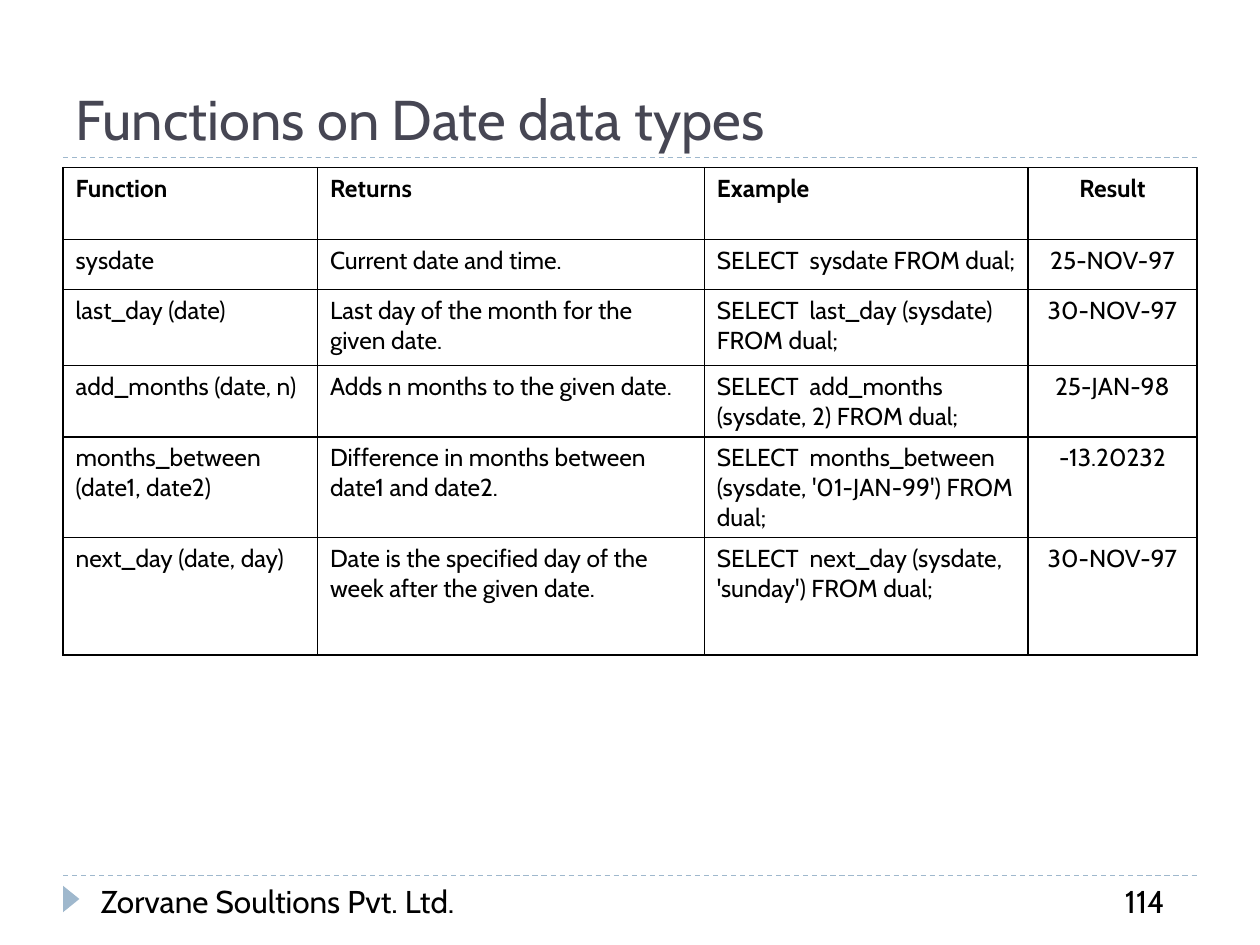
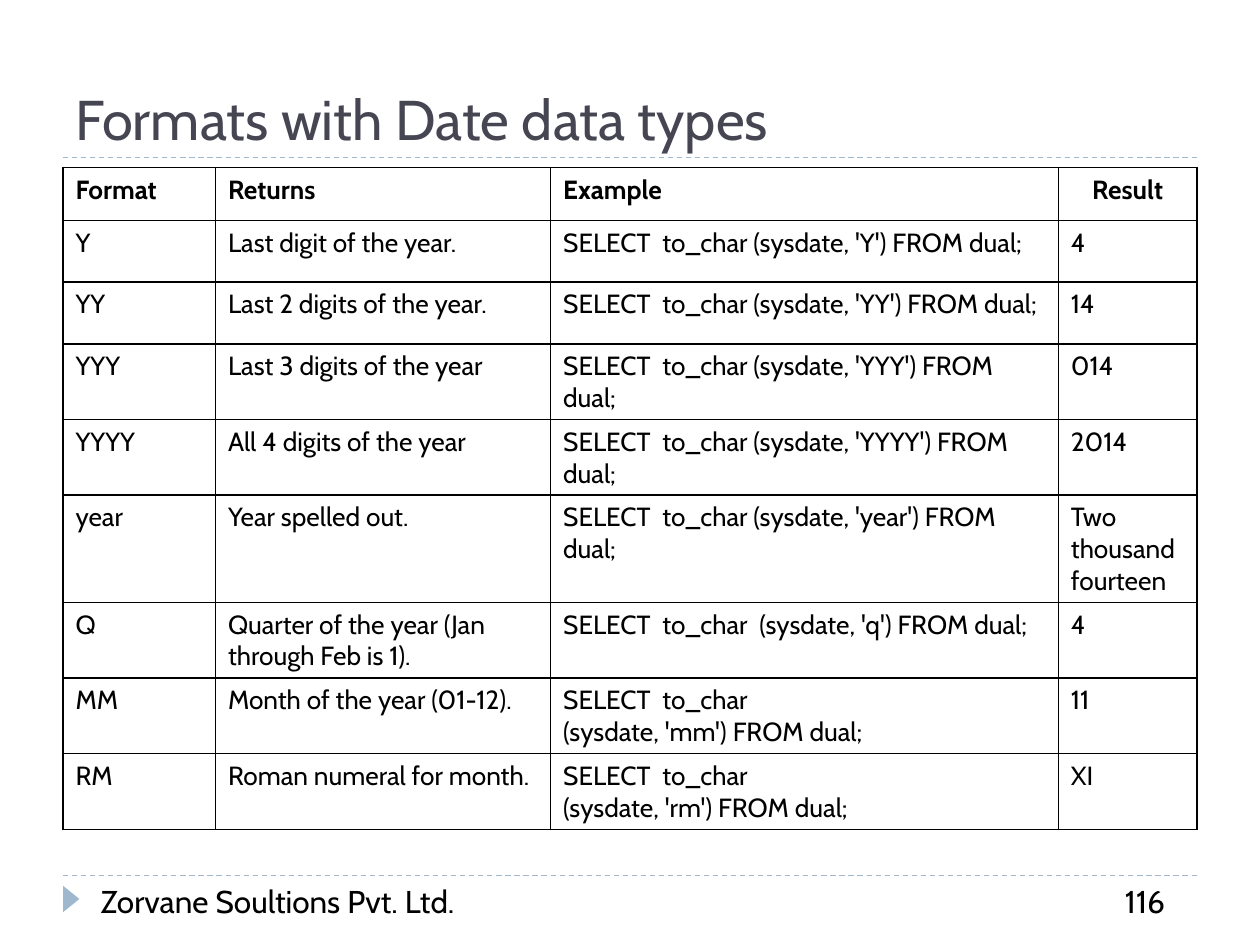
from dataclasses import dataclass

from lxml.etree import SubElement as SubEl
from pptx import Presentation
from pptx.dml.color import RGBColor
from pptx.enum.dml import MSO_LINE_DASH_STYLE as Dash
from pptx.enum.shapes import MSO_CONNECTOR as Conn, MSO_SHAPE as Shape
from pptx.enum.text import MSO_ANCHOR as Anchor, PP_ALIGN as Align
from pptx.oxml.ns import qn
from pptx.slide import Slide
from pptx.table import _Cell as Cell
from pptx.text.text import TextFrame
from pptx.util import Inches, Pt

# Shared look
FONT = "Cabin"
BLACK = RGBColor(0x00, 0x00, 0x00)
SLATE = RGBColor(0x46, 0x46, 0x53)
STEEL = RGBColor(0x9F, 0xB8, 0xCD)
FIRM = "Zorvane Soultions Pvt. Ltd."
LEFT, RIGHT = 0.5, 9.5
HEAD_Y, FOOT_Y, GRID_Y = 1.25, 6.95, 1.33


@dataclass(frozen=True)
class Style:
    size: int
    color: RGBColor = BLACK
    bold: bool = False
    align: Align = Align.LEFT


@dataclass(frozen=True)
class Box:
    left: float
    top: float
    width: float
    height: float
    anchor: Anchor = Anchor.TOP


@dataclass(frozen=True)
class Page:
    title: str
    number: str
    size: int
    cols: tuple[float, ...]
    heights: tuple[float, ...]
    rows: tuple[tuple[str, ...], ...]
    center: bool  # centre the values in the last column


TITLE_BOX = Box(LEFT, 0.17, 9, 1.08, Anchor.BOTTOM)
FIRM_BOX = Box(0.7, FOOT_Y, 3.8, 0.4)
NUM_BOX = Box(8.83, FOOT_Y, 0.67, 0.4)
TITLE = Style(32, SLATE)
FOOT = Style(18)

PAGES = (
    Page(
        "Functions on Date data types", "114", 14,
        (2.02, 3.07, 2.57, 1.34),
        (0.57, 0.4, 0.6, 0.52, 0.72, 0.93),
        (
            ("Function", "Returns", "Example", "Result"),
            ("sysdate", "Current date and time.",
             "SELECT  sysdate FROM dual;", "25-NOV-97"),
            ("last_day (date)", "Last day of the month for the given date.",
             "SELECT  last_day (sysdate) FROM dual;", "30-NOV-97"),
            ("add_months (date, n)", "Adds n months to the given date.",
             "SELECT  add_months (sysdate, 2) FROM dual;", "25-JAN-98"),
            ("months_between (date1, date2)",
             "Difference in months between date1 and date2.",
             "SELECT  months_between (sysdate, '01-JAN-99') FROM dual;",
             "-13.20232"),
            ("next_day (date, day)",
             "Date is the specified day of the week after the given date.",
             "SELECT  next_day (sysdate, 'sunday') FROM dual;", "30-NOV-97"),
        ),
        True,
    ),
    Page(
        "Formats with Date data types", "116", 15,
        (1.21, 2.66, 4.03, 1.1),
        (0.42, 0.49, 0.49, 0.49, 0.38, 0.58, 0.49, 0.49, 0.49),
        (
            ("Format", "Returns", "Example", "Result"),
            ("Y", "Last digit of the year.",
             "SELECT  to_char (sysdate, 'Y') FROM dual;", "4"),
            ("YY", "Last 2 digits of the year.",
             "SELECT  to_char (sysdate, 'YY') FROM dual;", "14"),
            ("YYY", "Last 3 digits of the year",
             "SELECT  to_char (sysdate, 'YYY') FROM dual;", "014"),
            ("YYYY", "All 4 digits of the year",
             "SELECT  to_char (sysdate, 'YYYY') FROM dual;", "2014"),
            ("year", "Year spelled out.",
             "SELECT  to_char (sysdate, 'year') FROM dual;",
             "Two thousand fourteen"),
            ("Q", "Quarter of the year (Jan through Feb is 1).",
             "SELECT  to_char  (sysdate, 'q') FROM dual;", "4"),
            ("MM", "Month of the year (01-12).",
             "SELECT  to_char\n(sysdate, 'mm') FROM dual;", "11"),
            ("RM", "Roman numeral for month.",
             "SELECT  to_char\n(sysdate, 'rm') FROM dual;", "XI"),
        ),
        False,
    ),
)


def write(frame: TextFrame, text: str, style: Style) -> None:
    """Write one paragraph per line of text."""
    for i, line in enumerate(text.split("\n")):
        para = frame.add_paragraph() if i else frame.paragraphs[0]
        para.alignment = style.align
        run = para.add_run()
        run.text = line
        font = run.font
        font.name, font.size, font.bold = FONT, Pt(style.size), style.bold
        font.color.rgb = style.color


def label(slide: Slide, box: Box, text: str, style: Style) -> None:
    shape = slide.shapes.add_textbox(
        Inches(box.left), Inches(box.top), Inches(box.width), Inches(box.height))
    frame = shape.text_frame
    frame.word_wrap = True
    frame.vertical_anchor = box.anchor
    write(frame, text, style)


def rule(slide: Slide, y: float) -> None:
    line = slide.shapes.add_connector(
        Conn.STRAIGHT, Inches(LEFT), Inches(y), Inches(RIGHT), Inches(y))
    line.line.color.rgb = STEEL
    line.line.width = Pt(0.75)
    line.line.dash_style = Dash.DASH
    SubEl(line._element.spPr, qn("a:effectLst"))


def marker(slide: Slide) -> None:
    mark = slide.shapes.add_shape(
        Shape.ISOSCELES_TRIANGLE, Inches(0.46), Inches(7.07), Inches(0.21), Inches(0.13))
    mark.rotation = 90
    mark.shadow.inherit = False
    mark.fill.solid()
    mark.fill.fore_color.rgb = STEEL
    mark.line.fill.background()


def border(cell: Cell) -> None:
    props = cell._tc.get_or_add_tcPr()
    for side in ("lnL", "lnR", "lnT", "lnB"):
        edge = SubEl(props, qn(f"a:{side}"), w=str(Pt(1)))
        fill = SubEl(edge, qn("a:solidFill"))
        SubEl(fill, qn("a:srgbClr"), val=str(BLACK))


def grid(slide: Slide, page: Page) -> None:
    table = slide.shapes.add_table(
        len(page.rows), len(page.cols), Inches(LEFT), Inches(GRID_Y),
        Inches(sum(page.cols)), Inches(sum(page.heights))).table
    table.first_row = table.horz_banding = False
    for col, width in zip(table.columns, page.cols):
        col.width = Inches(width)
    for row, height in zip(table.rows, page.heights):
        row.height = Inches(height)
    last = len(page.cols) - 1
    for r, row in enumerate(page.rows):
        head = r == 0
        for c, text in enumerate(row):
            align = Align.JUSTIFY if head else Align.LEFT
            if c == last and (head or page.center):
                align = Align.CENTER
            cell = table.cell(r, c)
            border(cell)
            cell.fill.background()
            write(cell.text_frame, text, Style(page.size, bold=head, align=align))


def build(slide: Slide, page: Page) -> None:
    # Rules and marker
    for y in (FOOT_Y, HEAD_Y):
        rule(slide, y)
    marker(slide)
    # Title and table
    label(slide, TITLE_BOX, page.title, TITLE)
    grid(slide, page)
    # Footer
    label(slide, FIRM_BOX, FIRM, FOOT)
    label(slide, NUM_BOX, page.number, FOOT)


def main() -> None:
    deck = Presentation()
    deck.slide_width, deck.slide_height = Inches(10), Inches(7.5)
    blank = deck.slide_layouts[6]
    for page in PAGES:
        build(deck.slides.add_slide(blank), page)
    deck.save("out.pptx")


if __name__ == "__main__":
    main()
